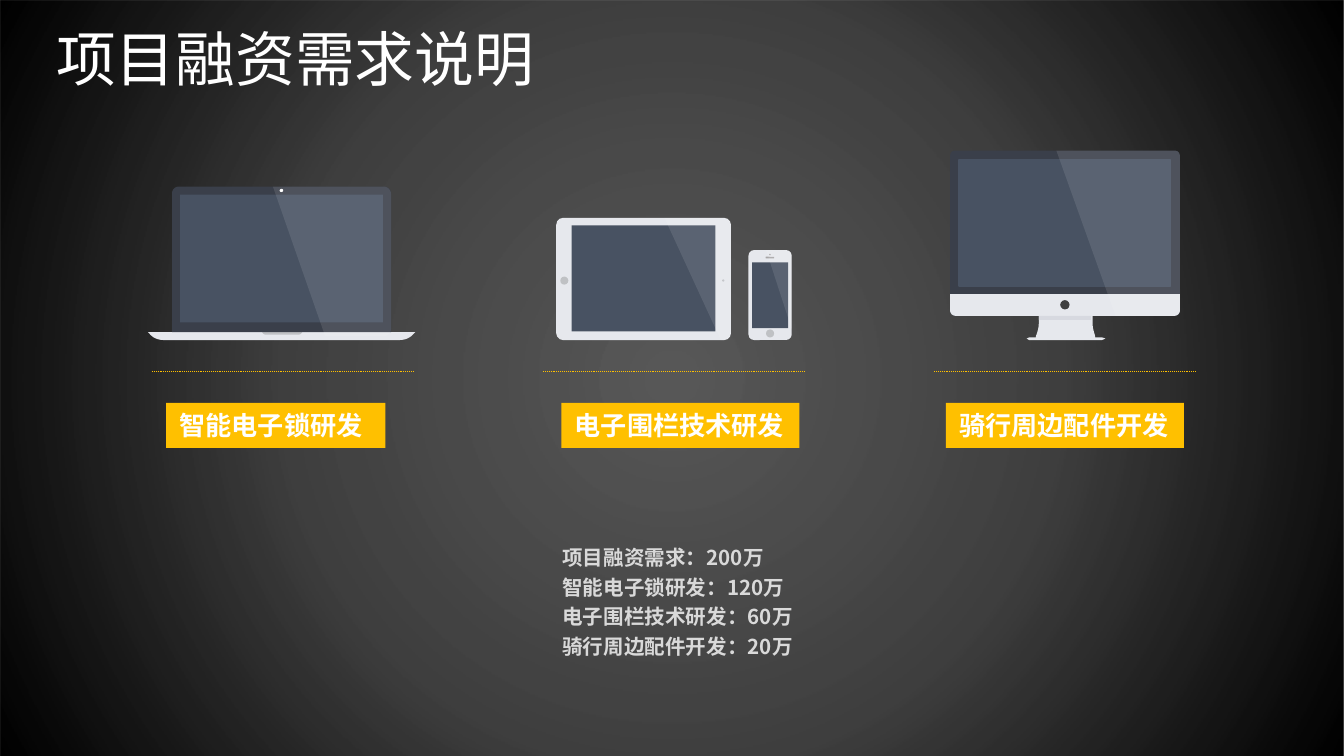
from pptx import Presentation
from pptx import util as u
from pptx.dml.color import RGBColor
from pptx.enum import dml, shapes, text
from pptx.oxml import parse_xml
from pptx.oxml.ns import nsdecls, qn

Pt = u.Pt
FONT = "Noto Sans CJK SC"
KIND = shapes.MSO_SHAPE
RECT, OVAL, ROUND = KIND.RECTANGLE, KIND.OVAL, KIND.ROUNDED_RECTANGLE
WHITE, PALE, GREY, DARK, GLASS, GOLD = (
    "FFFFFF", "E6E8ED", "BFC1C4", "3A3F4A", "485262", "FFC000")


def color(code):
    return RGBColor.from_string(code)


def paint(shape, code, alpha=None):
    shape.shadow.inherit = False
    shape.fill.solid()
    shape.fill.fore_color.rgb = color(code)
    shape.line.fill.background()
    if alpha:
        tint = next(shape._element.iter(qn("a:srgbClr")))
        tint.append(parse_xml(f'<a:alpha {nsdecls("a")} val="{alpha * 1000}"/>'))
    return shape


def part(group, kind, x, y, w, h, code, adj=None):
    shape = group.shapes.add_shape(kind, Pt(x), Pt(y), Pt(w), Pt(h))
    if adj is not None:
        shape.adjustments[0] = adj
    return paint(shape, code)


def curve(a, b, c, d, steps=8):
    for i in range(1, steps + 1):
        t = i / steps
        s = 1 - t
        yield tuple(s**3 * p + 3 * s * s * t * q + 3 * s * t * t * m + t**3 * n
                    for p, q, m, n in zip(a, b, c, d))


def free(group, x, y, steps, code, alpha=None):
    dots = [steps[0]]
    for step in steps[1:]:
        if len(step) == 6:
            dots += curve(dots[-1], step[:2], step[2:4], step[4:])
        else:
            dots.append(step)
    dots = [(Pt(x + a), Pt(y + b)) for a, b in dots]
    form = group.shapes.build_freeform(*dots[0], scale=1.0)
    form.add_line_segments(dots[1:], close=True)
    return paint(form.convert_to_shape(), code, alpha)


def glare(group, x, y, w, h, left, tip, r, foot):
    k = r * 0.45
    free(group, x, y, [(left, 0), (w - r, 0), (w - k, 0, w, k, w, r), (w, h - foot),
                       (w, h - foot * 0.45, w - foot * 0.45, h, w - foot, h),
                       (tip, h)], WHITE, 10)


def tray(group, x, y, w, h, inset, code):
    free(group, x, y, [(0, 0), (w, 0), (w - inset * 0.1, h * 0.2),
                       (w - inset * 0.3, h * 0.7, w - inset * 0.6, h, w - inset, h),
                       (inset, h),
                       (inset * 0.6, h, inset * 0.3, h * 0.7, inset * 0.1, h * 0.2)],
         code)


def laptop(slide, x, y, w, h):
    group = slide.shapes.add_group_shape()
    top = h - 4.3
    tray(group, x, y + top, w, 4.3, 8.6, PALE)
    tray(group, x + 61.2, y + top, 21.6, 1.4, 2.2, GREY)
    lid = w - 26
    free(group, x + 13, y, [(3.6, 0), (lid - 3.6, 0), (lid - 1.6, 0, lid, 1.6, lid, 3.6),
                            (lid, top), (0, top), (0, 3.6), (0, 1.6, 1.6, 0, 3.6, 0)], DARK)
    part(group, RECT, x + 17.3, y + 4.3, lid - 8.6, 68.4, GLASS)
    glare(group, x + 13, y, lid, h - 2.1, 54, 82, 4, 4)
    part(group, OVAL, x + 70.6, y + 1.2, 1.9, 1.7, WHITE)


def tablet(slide, x, y, w, h):
    group = slide.shapes.add_group_shape()
    part(group, ROUND, x, y, w, h, PALE, 0.057)
    part(group, RECT, x + 8.3, y + 4, w - 16.6, h - 8.6, GLASS)
    part(group, OVAL, x + 2.2, y + 31.5, 4.3, 4.3, GREY)
    part(group, OVAL, x + 88.9, y + 33, 1.2, 1.2, GREY)
    glare(group, x, y, w, h, 58, 88.2, 3.6, 3.6)


def phone(slide, x, y, w, h):
    group = slide.shapes.add_group_shape()
    part(group, ROUND, x, y, w, h, PALE, 0.13)
    part(group, RECT, x + 1.9, y + 6.5, w - 3.8, 35.3, GLASS)
    part(group, OVAL, x + 9.4, y + 42.5, 4.3, 4.3, GREY)
    part(group, OVAL, x + 11.1, y + 2, 0.8, 0.8, "A7A5A6")
    part(group, ROUND, x + 9.2, y + 3.6, 4.6, 0.8, "A7A5A6")
    glare(group, x, y, w, 42.5, 9.4, w, 3, 0)


def desktop(slide, x, y, w, h):
    group = slide.shapes.add_group_shape()
    low = h - 13
    chin = low - 11.6
    part(group, ROUND, x, y, w, low, DARK, 0.029)
    free(group, x, y + chin, [(0, 0), (w, 0), (w, 8.7), (w, 10.3, w - 1.3, 11.6, w - 2.9, 11.6),
                              (2.9, 11.6), (1.3, 11.6, 0, 10.3, 0, 8.7)], PALE)
    free(group, x + 41, y + low,
         [(6.5, 0), (35.3, 0), (35.3, 3.6), (35.3, 6.5, 36, 8.6, 36.7, 10.8), (36.7, 11.5),
          (40.3, 11.5), (42.2, 12.2), (40.3, 13), (1.4, 13), (0, 12.2), (1.4, 11.5),
          (5, 11.5), (5, 10.8), (5.8, 8.6, 6.5, 6.5, 6.5, 3.6)], PALE)
    part(group, RECT, x + 47.5, y + low, 28.1, 2.2, "D7D9E0")
    part(group, OVAL, x + 59, y + chin + 3.2, 5, 5, "404040")
    pane = part(group, RECT, x + 5, y + 5, w - 10, 67.7, GLASS)
    pane.line.color.rgb = color(GLASS)
    pane.line.width = Pt(1)
    glare(group, x, y, w, low, 56.9, 88.6, 2.9, 2.9)


def write(slide, x, y, w, h, lines, size, code, bold=False, wrap=False, gap=None):
    box = slide.shapes.add_textbox(Pt(x), Pt(y), Pt(w), Pt(h))
    frame = box.text_frame
    frame.word_wrap = wrap
    frame.auto_size = text.MSO_AUTO_SIZE.SHAPE_TO_FIT_TEXT
    for i, line in enumerate(lines):
        para = frame.add_paragraph() if i else frame.paragraphs[0]
        if gap:
            para.line_spacing = gap
        run = para.add_run()
        run.text = line
        font = run.font
        font.name, font.size, font.bold = FONT, Pt(size), bold
        font.color.rgb = color(code)
        run._r.get_or_add_rPr().find(qn("a:latin")).addnext(
            parse_xml(f'<a:ea {nsdecls("a")} typeface="{FONT}"/>'))
    return box


def label(slide, x, y, w, h, line):
    paint(write(slide, x, y, w, h, [line], 14, WHITE, bold=True), GOLD)


def rule(slide, x, y, w):
    line = slide.shapes.add_connector(
        shapes.MSO_CONNECTOR.STRAIGHT, Pt(x), Pt(y), Pt(x + w), Pt(y))
    line.line.color.rgb = color(GOLD)
    line.line.width = Pt(0.5)
    line.line.dash_style = dml.MSO_LINE.ROUND_DOT
    line._element.spPr.append(parse_xml(f'<a:effectLst {nsdecls("a")}/>'))


def back(slide, x, y, w, h):
    shape = part(slide, RECT, x, y, w, h, "000000")
    stops = "".join(
        f'<a:gs pos="{pos}000"><a:srgbClr val="000000"><a:alpha val="{alpha}000"/>'
        "</a:srgbClr></a:gs>" for pos, alpha in ((0, 65), (50, 75), (100, 100)))
    props = shape._element.spPr
    props.replace(props.find(qn("a:solidFill")), parse_xml(
        f'<a:gradFill {nsdecls("a")} rotWithShape="1"><a:gsLst>{stops}</a:gsLst>'
        '<a:path path="circle"><a:fillToRect l="50000" t="50000" r="50000" b="50000"/>'
        "</a:path></a:gradFill>"))


def main():
    deck = Presentation()
    deck.slide_width, deck.slide_height = Pt(720), Pt(405)
    slide = deck.slides.add_slide(deck.slide_layouts[6])
    back(slide, 0, 0, 720, 405)
    write(slide, 23, 8, 273, 46, ["项目融资需求说明"], 32, WHITE)
    laptop(slide, 79.2, 100, 143.3, 82.2)
    tablet(slide, 298, 116.7, 93.6, 65.5)
    phone(slide, 401, 134, 23.2, 48.2)
    desktop(slide, 509, 80.7, 123.1, 101.5)
    for i in range(3):
        rule(slide, 81.4 + 209.5 * i, 199, 140.4)
    for x, w, line in ((89, 117.5, "智能电子锁研发"), (300.8, 127.5, "电子围栏技术研发"),
                       (506.8, 127.5, "骑行周边配件开发")):
        label(slide, x, 215.8, w, 24.2, line)
    write(slide, 294.2, 286, 140.4, 71.5,
          ["项目融资需求：200万", "智能电子锁研发：120万",
           "电子围栏技术研发：60万", "骑行周边配件开发：20万"],
          11, "D9D9D9", bold=True, wrap=True, gap=1.2)
    deck.save("out.pptx")


if __name__ == "__main__":
    main()
